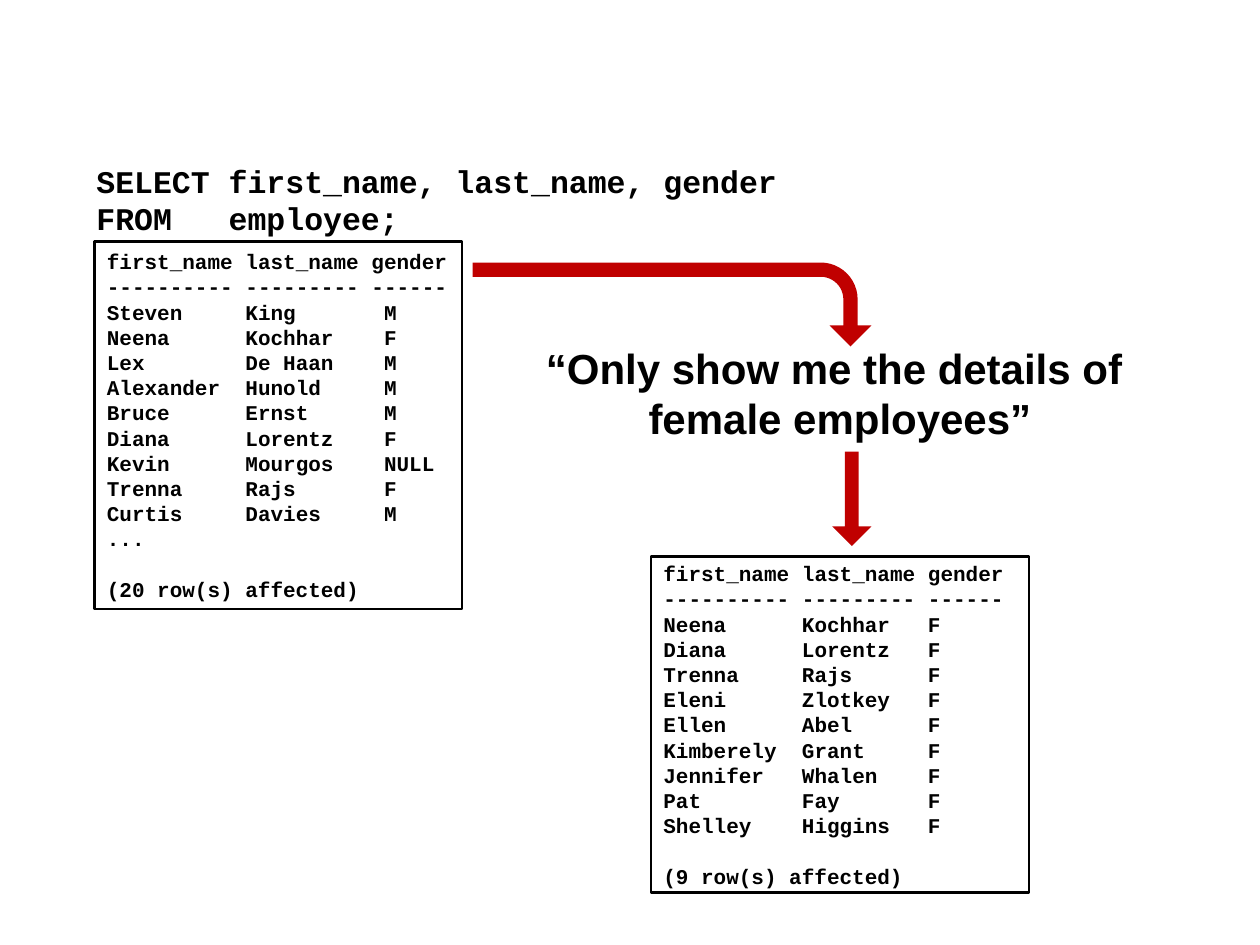
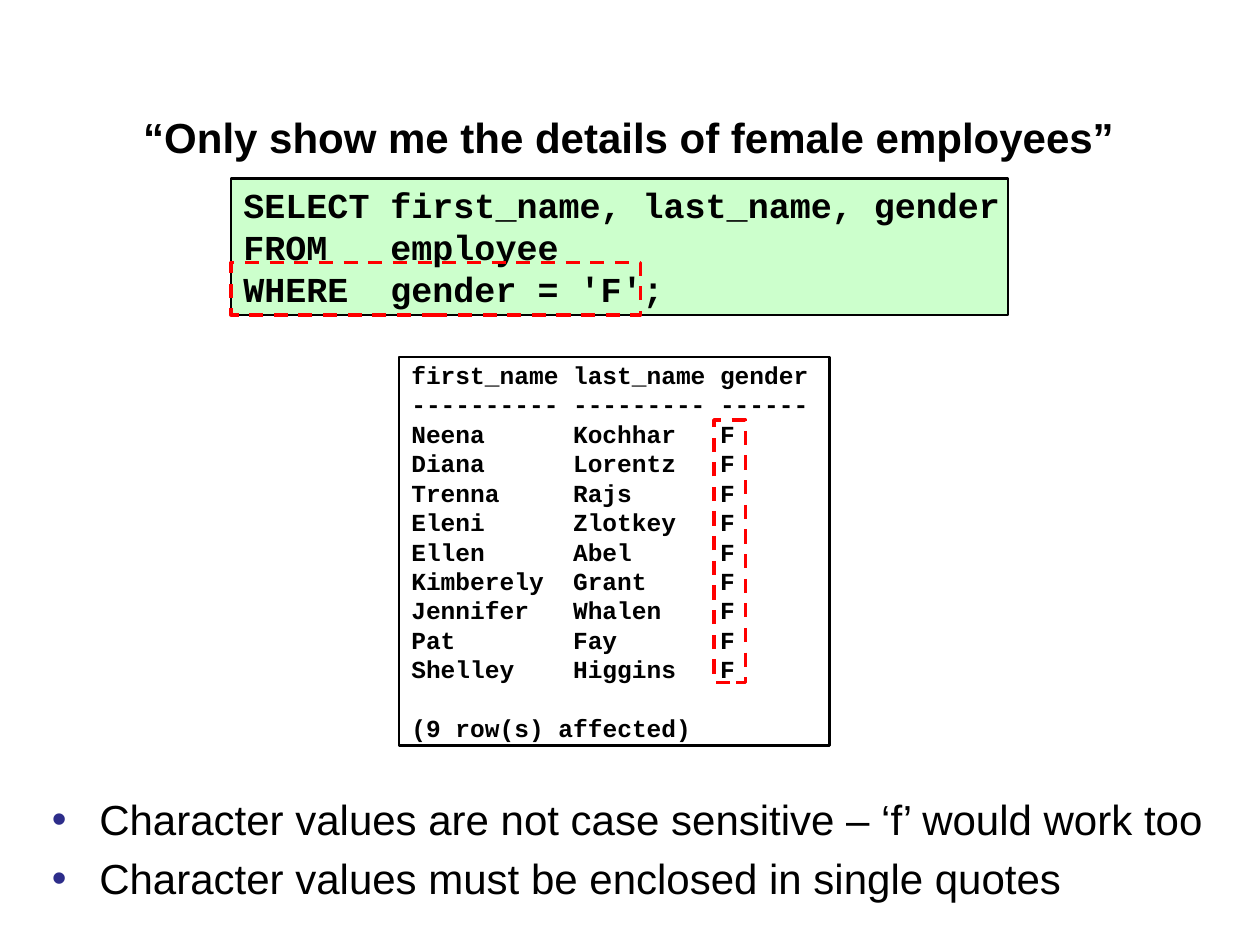
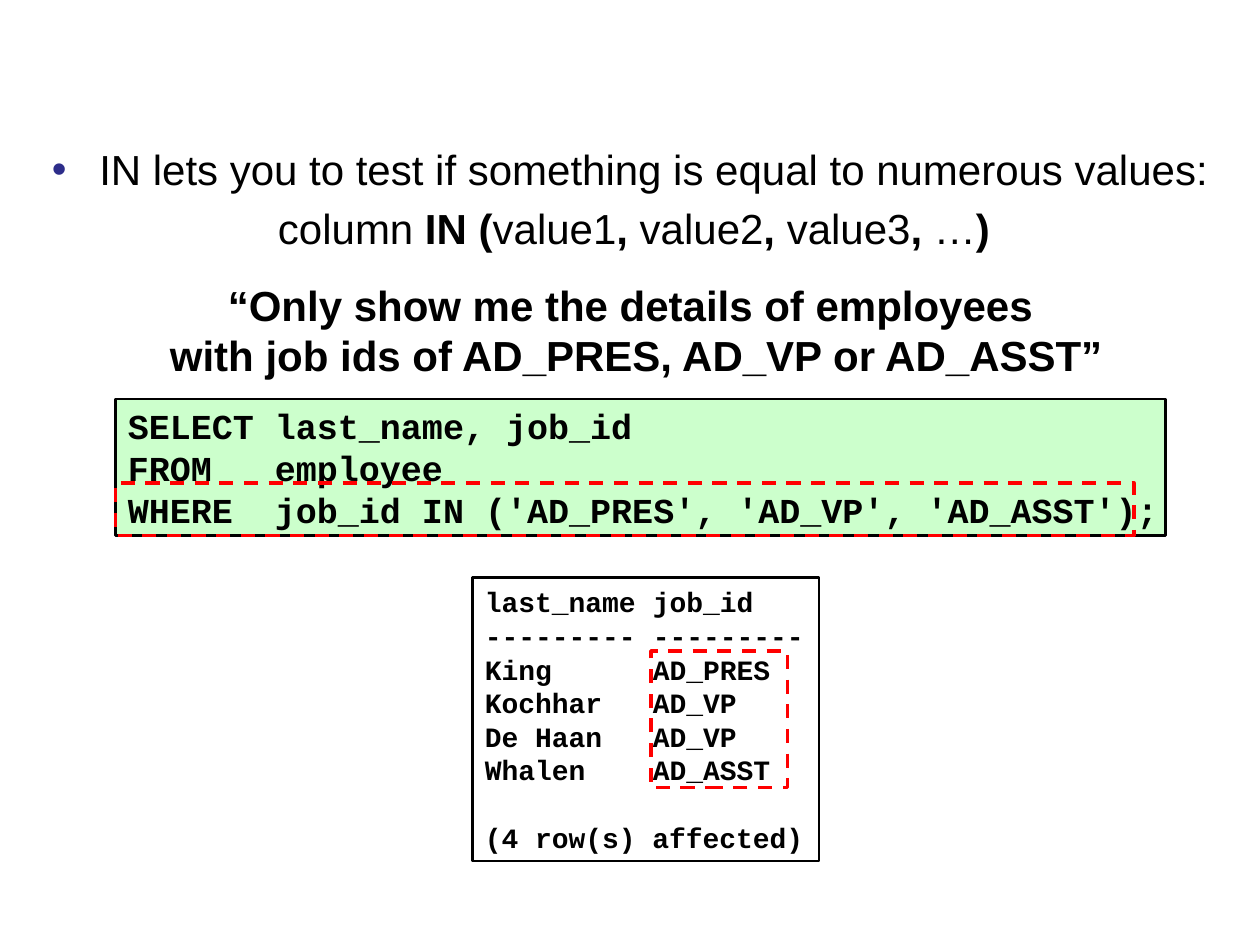
from lxml import etree
from pptx import Presentation
from pptx.dml.color import RGBColor
from pptx.enum.dml import MSO_LINE
from pptx.enum.shapes import MSO_SHAPE
from pptx.enum.text import MSO_ANCHOR, MSO_AUTO_SIZE, PP_ALIGN
from pptx.oxml.ns import qn
from pptx.util import Emu, Inches, Pt

RECTANGLE = MSO_SHAPE.RECTANGLE
BENT_ARROW = MSO_SHAPE.BENT_ARROW
DOWN_ARROW = MSO_SHAPE.DOWN_ARROW
DASH = MSO_LINE.DASH
MIDDLE, TOP = MSO_ANCHOR.MIDDLE, MSO_ANCHOR.TOP
LEFT, CENTER = PP_ALIGN.LEFT, PP_ALIGN.CENTER
NO_AUTOFIT = MSO_AUTO_SIZE.NONE

COLORS = {
    "text": "000000",
    "arrow": "C00000",
    "highlight": "FF0000",
    "query": "CCFFCC",
    "bullet": "2D2D8A",
}
CODE_FONT, TEXT_FONT = "Courier New", "Arial"
TEXT_SIZE = 24
LINE_HEIGHT = 1.2  # share of the font size
CHAR_WIDTH = 0.6  # share of the font size, for the code font
CELL = Inches(1 / 12)  # the slide is a grid of 120 columns by 90 rows
QUERY_STOPS = [7]

FEMALE_EMPLOYEES = [
    ("first_name", "last_name", "gender"),
    ("----------", "---------", "------"),
    ("Neena", "Kochhar", "F"),
    ("Diana", "Lorentz", "F"),
    ("Trenna", "Rajs", "F"),
    ("Eleni", "Zlotkey", "F"),
    ("Ellen", "Abel", "F"),
    ("Kimberely", "Grant", "F"),
    ("Jennifer", "Whalen", "F"),
    ("Pat", "Fay", "F"),
    ("Shelley", "Higgins", "F"),
]
ALL_EMPLOYEES = FEMALE_EMPLOYEES[:2] + [
    ("Steven", "King", "M"),
    ("Neena", "Kochhar", "F"),
    ("Lex", "De Haan", "M"),
    ("Alexander", "Hunold", "M"),
    ("Bruce", "Ernst", "M"),
    ("Diana", "Lorentz", "F"),
    ("Kevin", "Mourgos", "NULL"),
    ("Trenna", "Rajs", "F"),
    ("Curtis", "Davies", "M"),
    ("...",),
]
JOB_HOLDERS = [
    ("last_name", "job_id"),
    ("---------", "---------"),
    ("King", "AD_PRES"),
    ("Kochhar", "AD_VP"),
    ("De Haan", "AD_VP"),
    ("Whalen", "AD_ASST"),
]


def color(name):
    return RGBColor.from_string(COLORS[name])


def grid(*cells):
    """Turn left, top, width and height in grid cells into lengths."""
    return [Emu(round(cell * CELL)) for cell in cells]


def style_paragraph(para, font_name, size, bold):
    para.font.name = font_name
    para.font.size = Pt(size)
    para.font.bold = bold
    para.font.color.rgb = color("text")
    para.line_spacing = Pt(size * LINE_HEIGHT)


def add_paragraphs(frame, texts):
    """Fill an empty text frame, one paragraph for each text."""
    frame.text = texts[0]
    for text in texts[1:]:
        frame.add_paragraph().text = text
    return frame.paragraphs


def set_tab_stops(para, stops, size):
    """Put left tab stops at the given character columns."""
    tabs = etree.SubElement(para._p.get_or_add_pPr(), qn("a:tabLst"))
    for stop in stops:
        position = Pt(stop * CHAR_WIDTH * size)
        etree.SubElement(tabs, qn("a:tab"), pos=str(position), algn="l")


def write_code(box, rows, size, stops, heading_stops=None):
    """Write rows of cells at tab stops; two heading rows may differ."""
    frame = box.text_frame
    frame.word_wrap = False
    frame.vertical_anchor = MIDDLE
    paras = add_paragraphs(frame, ["\t".join(row) for row in rows])
    for index, para in enumerate(paras):
        style_paragraph(para, CODE_FONT, size, True)
        para.alignment = LEFT
        is_heading = heading_stops and index < 2
        set_tab_stops(para, heading_stops if is_heading else stops, size)


def add_rectangle(page, place, line="text", width=1.5, fill=None):
    box = page.shapes.add_shape(RECTANGLE, *grid(*place))
    box.shadow.inherit = False
    box.line.color.rgb = color(line)
    box.line.width = Pt(width)
    if fill:
        box.fill.solid()
        box.fill.fore_color.rgb = color(fill)
    else:
        box.fill.background()
    return box


def add_result(page, place, rows, count, size, stops, heading_stops=None):
    """Framed query output that ends with its row count."""
    box = add_rectangle(page, place)
    footer = (f"({count} row(s) affected)",)
    write_code(box, rows + [footer], size, stops, heading_stops)
    box.text_frame.paragraphs[-1].space_before = Pt(size * LINE_HEIGHT)


def add_query(page, place, clauses):
    write_code(add_rectangle(page, place, fill="query"), clauses, 20, QUERY_STOPS)


def add_highlight(page, place):
    add_rectangle(page, place, line="highlight", width=2).line.dash_style = DASH


def add_arrow(page, kind, place, adjustments, rotation=0):
    arrow = page.shapes.add_shape(kind, *grid(*place))
    arrow.shadow.inherit = False
    arrow.rotation = rotation
    arrow.fill.solid()
    arrow.fill.fore_color.rgb = color("arrow")
    arrow.line.fill.background()
    for index, value in enumerate(adjustments):
        arrow.adjustments[index] = value


def add_request(page, place, lines):
    """Quoted request in plain words, centred."""
    frame = page.shapes.add_textbox(*grid(*place)).text_frame
    frame.word_wrap = False
    for para in add_paragraphs(frame, lines):
        style_paragraph(para, TEXT_FONT, TEXT_SIZE, True)
        para.alignment = CENTER


def add_bullet_page(deck, place, bullets):
    """Slide with a bulleted body and no title; returns slide and frame."""
    page = deck.slides.add_slide(deck.slide_layouts[1])
    title = page.shapes.title._element
    title.getparent().remove(title)
    body = page.placeholders[1]
    body.left, body.top, body.width, body.height = grid(*place)
    frame = body.text_frame
    frame.auto_size = NO_AUTOFIT
    frame.vertical_anchor = TOP
    for para in add_paragraphs(frame, bullets):
        style_paragraph(para, TEXT_FONT, TEXT_SIZE, False)
        bullet_color = etree.SubElement(para._p.get_or_add_pPr(), qn("a:buClr"))
        etree.SubElement(bullet_color, qn("a:srgbClr"), val=COLORS["bullet"])
    return page, frame


def add_syntax(frame, spans):
    """Centred line without a bullet; every second span is bold."""
    para = frame.add_paragraph()
    style_paragraph(para, TEXT_FONT, TEXT_SIZE, False)
    para.alignment = CENTER
    etree.SubElement(para._p.get_or_add_pPr(), qn("a:buNone"))
    for index, text in enumerate(spans):
        span = para.add_run()
        span.text = text
        span.font.bold = index % 2 == 1


def build_filter_idea(deck):
    page = deck.slides.add_slide(deck.slide_layouts[6])
    query = page.shapes.add_textbox(*grid(8, 16, 70, 6))
    clauses = [("SELECT", "first_name, last_name, gender"), ("FROM", "employee;")]
    write_code(query, clauses, 18, QUERY_STOPS)
    add_result(page, (9, 23, 35, 35), ALL_EMPLOYEES, 20, 12, [11, 22], [11, 21])
    add_result(page, (62, 53, 36, 32), FEMALE_EMPLOYEES, 9, 12, [11, 21])
    add_request(page, (50.5, 32, 59, 11),
                ["“Only show me the details of ", "female employees”"])
    add_arrow(page, BENT_ARROW, (60, 10, 8, 38), [0.17, 0.25, 0.25, 0.44], 90)
    add_arrow(page, DOWN_ARROW, (79.25, 43, 3.75, 9), [0.35, 0.5])


def build_where(deck):
    page, _ = add_bullet_page(deck, (3.75, 75, 114.25, 12), [
        "Character values are not case sensitive – ‘f’ would work too",
        "Character values must be enclosed in single quotes",
    ])
    add_result(page, (38, 34, 41, 37), FEMALE_EMPLOYEES, 9, 14, [11, 21])
    add_query(page, (22, 17, 74, 13), [
        ("SELECT", "first_name, last_name, gender"),
        ("FROM", "employee"),
        ("WHERE", "gender = 'F';"),
    ])
    add_highlight(page, (22, 25, 39, 5))
    add_request(page, (12, 10, 95.75, 6),
                ["“Only show me the details of female employees”"])
    add_highlight(page, (68, 40, 3, 25))


def build_in(deck):
    page, frame = add_bullet_page(deck, (3.75, 13.1, 113.25, 13.9), [
        "IN lets you to test if something is equal to numerous values:",
    ])
    add_syntax(frame, ["column", " IN (", "value1", ",", " value2", ",",
                       " value3", ",", " …", ")"])
    add_request(page, (14.6, 26, 92, 11), [
        "“Only show me the details of employees ",
        "with job ids of AD_PRES, AD_VP or AD_ASST”",
    ])
    add_query(page, (11, 38, 100, 13), [
        ("SELECT", "last_name, job_id"),
        ("FROM", "employee"),
        ("WHERE", "job_id IN ('AD_PRES', 'AD_VP', 'AD_ASST');"),
    ])
    add_highlight(page, (11, 46, 97, 5))
    add_result(page, (45, 55, 33, 27), JOB_HOLDERS, 4, 16, [10])
    add_highlight(page, (62, 62, 13, 13))


def main():
    deck = Presentation()
    deck.slide_width, deck.slide_height = grid(120, 90)
    build_filter_idea(deck)
    build_where(deck)
    build_in(deck)
    deck.save("out.pptx")


if __name__ == "__main__":
    main()
